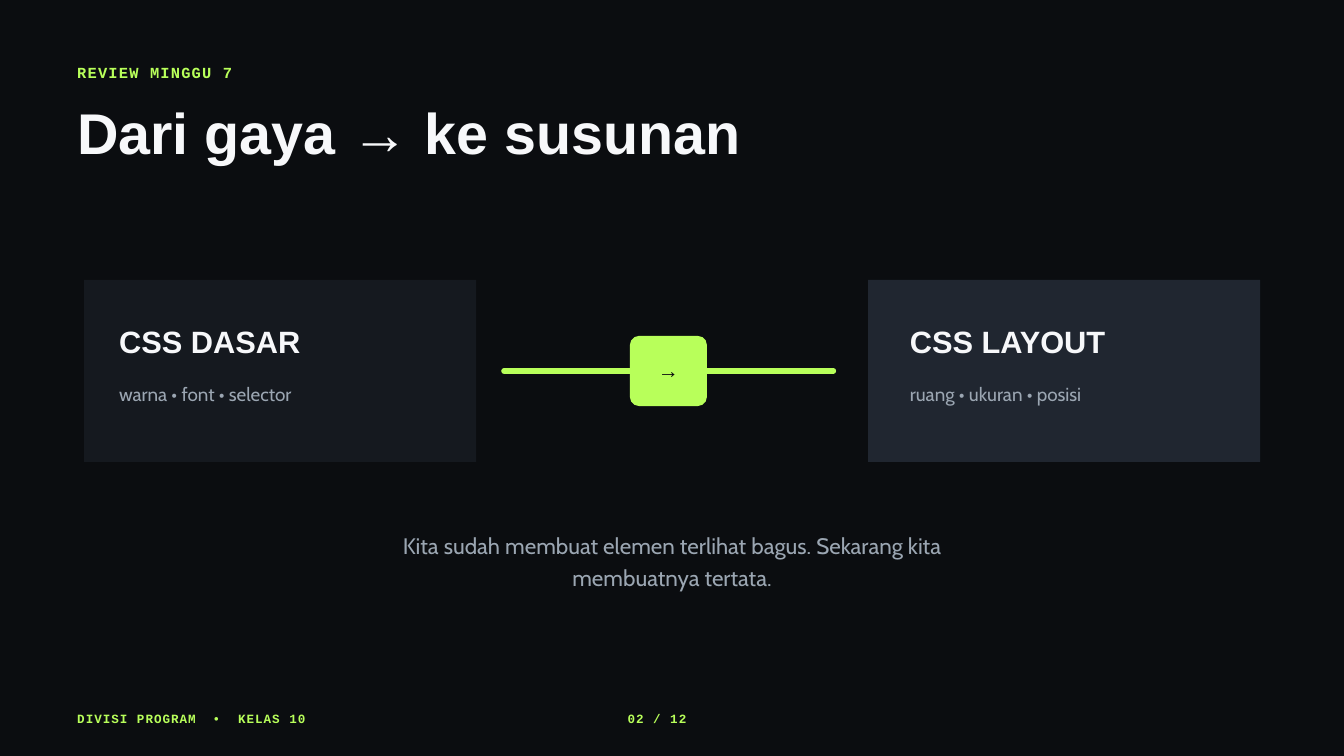
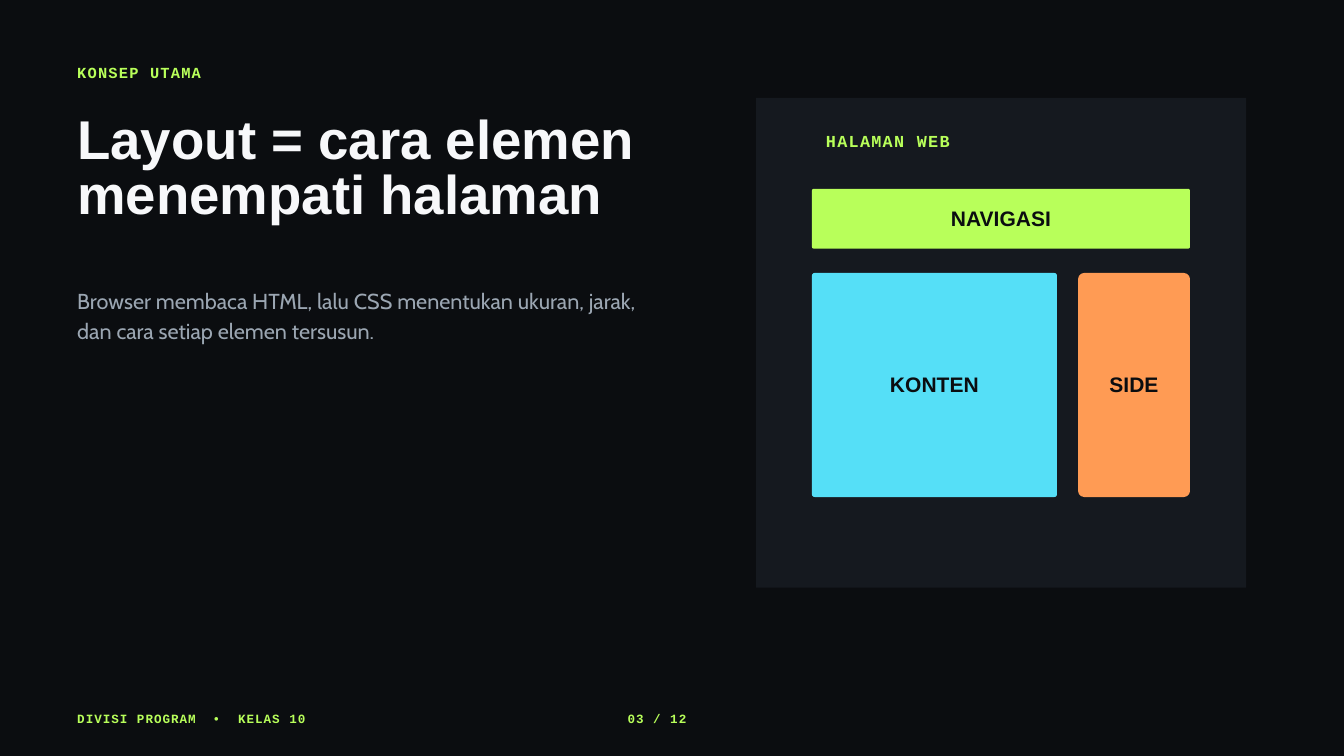
from dataclasses import dataclass

from lxml.etree import SubElement
from pptx import Presentation
from pptx.dml.color import RGBColor
from pptx.enum.shapes import MSO_CONNECTOR, MSO_SHAPE
from pptx.enum.text import MSO_ANCHOR, MSO_AUTO_SIZE, PP_ALIGN
from pptx.oxml.ns import qn
from pptx.shapes.autoshape import Shape
from pptx.shapes.shapetree import GroupShapes, SlideShapes
from pptx.slide import Slide
from pptx.util import Cm, Pt


@dataclass(frozen=True)
class TextStyle:
    font: str
    size: float
    line: float
    color: str
    bold: bool = True
    tracking: float = 0
    align: PP_ALIGN = PP_ALIGN.LEFT


@dataclass(frozen=True)
class Theme:
    background: str = "0B0D10"
    panel: str = "15191F"
    panel_light: str = "202630"
    lime: str = "B8FF5A"
    cyan: str = "55DFF7"
    orange: str = "FF9B54"
    white: str = "F7F8FA"
    gray: str = "9BA6B2"
    heading_font: str = "Arial"
    body_font: str = "Cabin"
    label_font: str = "Courier New"

    def heading(self, size: float, line: float) -> TextStyle:
        return TextStyle(self.heading_font, size, line, self.white)

    def body(self, size: float, line: float, align: PP_ALIGN = PP_ALIGN.LEFT) -> TextStyle:
        return TextStyle(self.body_font, size, line, self.gray, bold=False, align=align)

    def label(self, size: float, line: float, tracking: float) -> TextStyle:
        return TextStyle(self.label_font, size, line, self.lime, tracking=tracking)


THEME = Theme()
OPENING_TITLE = THEME.heading(61.5, 62.7)
CONCEPT_TITLE = THEME.heading(58.5, 59.7)
CARD_HEADING = THEME.heading(33, 33.7)
CARD_DETAIL = THEME.body(20.2, 28.4)
CENTERED_NOTE = THEME.body(24, 33.6, PP_ALIGN.CENTER)
EXPLANATION = THEME.body(23.2, 32.5)
EYEBROW = THEME.label(16.5, 23.1, 1.3)
PANEL_LABEL = THEME.label(18, 25.2, 1.4)
FOOTER = THEME.label(13.5, 18.9, 1.1)
BLOCK_LABEL = TextStyle(THEME.heading_font, 22.5, 31.5, THEME.background,
                        align=PP_ALIGN.CENTER)

MARGIN = 2.92
FOOTER_CHARACTER = 0.32
FOOTER_COLUMNS = (16, 19, 65)
PAGE_COUNT = 12


@dataclass(frozen=True)
class Box:
    """A rectangle in centimetres."""
    left: float
    top: float
    width: float
    height: float

    def lengths(self) -> tuple[Cm, Cm, Cm, Cm]:
        return Cm(self.left), Cm(self.top), Cm(self.width), Cm(self.height)


@dataclass(frozen=True)
class Page:
    number: int
    eyebrow: str
    title: str
    title_box: Box
    title_style: TextStyle


@dataclass(frozen=True)
class Card:
    heading: str
    detail: str
    box: Box
    fill: str
    padding: float
    text_width: float


@dataclass(frozen=True)
class Block:
    label: str
    box: Box
    fill: str
    radius: float


def write_text(shape: Shape, text: str, style: TextStyle) -> None:
    text_frame = shape.text_frame
    text_frame.text = text
    text_frame.word_wrap = True
    for paragraph in text_frame.paragraphs:
        paragraph.alignment = style.align
        paragraph.line_spacing = Pt(style.line)
        for run in paragraph.runs:
            run.font.name = style.font
            run.font.size = Pt(style.size)
            run.font.bold = style.bold
            run.font.color.rgb = RGBColor.from_string(style.color)
            if style.tracking:
                run._r.get_or_add_rPr().set("spc", str(round(style.tracking * 100)))


def format_text_area(shape: Shape, text: str, style: TextStyle) -> None:
    """Fill a text box or placeholder that has no insets and starts at its top."""
    write_text(shape, text, style)
    text_frame = shape.text_frame
    text_frame.margin_left = text_frame.margin_right = 0
    text_frame.margin_top = text_frame.margin_bottom = 0
    text_frame.vertical_anchor = MSO_ANCHOR.TOP
    text_frame.auto_size = MSO_AUTO_SIZE.SHAPE_TO_FIT_TEXT


def add_text(shapes: SlideShapes | GroupShapes, box: Box, text: str,
             style: TextStyle) -> Shape:
    shape = shapes.add_textbox(*box.lengths())
    format_text_area(shape, text, style)
    return shape


def add_filled(shapes: SlideShapes | GroupShapes, kind: MSO_SHAPE, box: Box,
               fill: str) -> Shape:
    shape = shapes.add_shape(kind, *box.lengths())
    shape.shadow.inherit = False
    shape.fill.solid()
    shape.fill.fore_color.rgb = RGBColor.from_string(fill)
    shape.line.fill.background()
    return shape


def add_card(slide: Slide, card: Card) -> None:
    shapes = slide.shapes.add_group_shape().shapes
    add_filled(shapes, MSO_SHAPE.RECTANGLE, card.box, card.fill)
    left, top = card.box.left + card.padding, card.box.top
    add_text(shapes, Box(left, top + 1.83, card.text_width, 1.4), card.heading, CARD_HEADING)
    add_text(shapes, Box(left, top + 3.73, card.text_width, 0.94), card.detail, CARD_DETAIL)


def add_block(slide: Slide, block: Block) -> None:
    """Draw a rounded block whose label sits slightly above its middle."""
    shape = add_filled(slide.shapes, MSO_SHAPE.ROUNDED_RECTANGLE, block.box, block.fill)
    shape.adjustments[0] = block.radius / min(block.box.width, block.box.height)
    write_text(shape, block.label, BLOCK_LABEL)
    text_frame = shape.text_frame
    text_frame.vertical_anchor = MSO_ANCHOR.MIDDLE
    text_frame.margin_left = text_frame.margin_right = text_frame.margin_top = Cm(0.15)
    text_frame.margin_bottom = Cm(0.35)


def add_rounded_line(slide: Slide, left: float, right: float, y: float) -> None:
    line = slide.shapes.add_connector(MSO_CONNECTOR.STRAIGHT,
                                      Cm(left), Cm(y), Cm(right), Cm(y))
    line.line.color.rgb = RGBColor.from_string(THEME.lime)
    line.line.width = Pt(6)
    properties = line._element.spPr
    properties.find(qn("a:ln")).set("cap", "rnd")
    SubElement(properties, qn("a:effectLst"))


def add_footer(slide: Slide, number: int) -> None:
    text = f"DIVISI PROGRAM\t•\tKELAS 10\t{number:02} / {PAGE_COUNT}"
    footer = add_text(slide.shapes, Box(MARGIN, 26.8, 44.98, 0.64), text, FOOTER)
    paragraph_properties = footer.text_frame.paragraphs[0]._p.get_or_add_pPr()
    tabs = SubElement(paragraph_properties, qn("a:tabLst"))
    for column in FOOTER_COLUMNS:
        SubElement(tabs, qn("a:tab"), pos=str(Cm(column * FOOTER_CHARACTER)), algn="l")


def add_page(presentation: Presentation, page: Page) -> Slide:
    """Add a slide with the shared eyebrow, title and footer."""
    slide = presentation.slides.add_slide(presentation.slide_layouts[5])
    title = slide.shapes.title
    title.left, title.top, title.width, title.height = page.title_box.lengths()
    format_text_area(title, page.title, page.title_style)
    add_text(slide.shapes, Box(MARGIN, 2.28, 18.52, 0.79), page.eyebrow, EYEBROW)
    add_footer(slide, page.number)
    return slide


def build_review(presentation: Presentation) -> None:
    slide = add_page(presentation, Page(
        2, "REVIEW MINGGU 7", "Dari gaya → ke susunan",
        Box(MARGIN, 4.06, 39.69, 2.62), OPENING_TITLE))
    cards = (
        Card("CSS DASAR", "warna • font • selector",
             Box(3.18, 10.58, 14.82, 6.88), THEME.panel, 1.32, 11.38),
        Card("CSS LAYOUT", "ruang • ukuran • posisi",
             Box(32.81, 10.58, 14.82, 6.88), THEME.panel_light, 1.58, 11.64),
    )
    for card in cards:
        add_card(slide, card)
    add_rounded_line(slide, 19.05, 31.5, 14.02)
    add_block(slide, Block("→", Box(23.81, 12.7, 2.91, 2.65), THEME.lime, 0.34))
    add_text(slide.shapes, Box(13.23, 19.96, 24.34, 2.29),
             "Kita sudah membuat elemen terlihat bagus. Sekarang kita membuatnya tertata.",
             CENTERED_NOTE)


def build_concept(presentation: Presentation) -> None:
    slide = add_page(presentation, Page(
        3, "KONSEP UTAMA", "Layout = cara elemen\nmenempati halaman",
        Box(MARGIN, 4.32, 27.79, 4.6), CONCEPT_TITLE))
    add_text(slide.shapes, Box(MARGIN, 10.72, 22.48, 2.24),
             "Browser membaca HTML, lalu CSS menentukan ukuran, jarak, "
             "dan cara setiap elemen tersusun.", EXPLANATION)
    add_filled(slide.shapes, MSO_SHAPE.RECTANGLE, Box(28.58, 3.7, 18.52, 18.52), THEME.panel)
    add_text(slide.shapes, Box(31.22, 4.8, 13.23, 0.86), "HALAMAN WEB", PANEL_LABEL)

    navigation = Box(30.69, 7.14, 14.29, 2.26)
    content = Box(navigation.left, navigation.top + navigation.height + 0.92, 9.26, 8.47)
    side_offset = content.width + 0.8
    side = Box(content.left + side_offset, content.top,
               navigation.width - side_offset, content.height)
    blocks = (
        Block("NAVIGASI", navigation, THEME.lime, 0.07),
        Block("KONTEN", content, THEME.cyan, 0.1),
        Block("SIDE", side, THEME.orange, 0.23),
    )
    for block in blocks:
        add_block(slide, block)


def main() -> None:
    presentation = Presentation()
    presentation.slide_width, presentation.slide_height = Cm(50.8), Cm(28.58)
    background = presentation.slide_master.background.fill
    background.solid()
    background.fore_color.rgb = RGBColor.from_string(THEME.background)
    build_review(presentation)
    build_concept(presentation)
    presentation.save("out.pptx")


if __name__ == "__main__":
    main()
